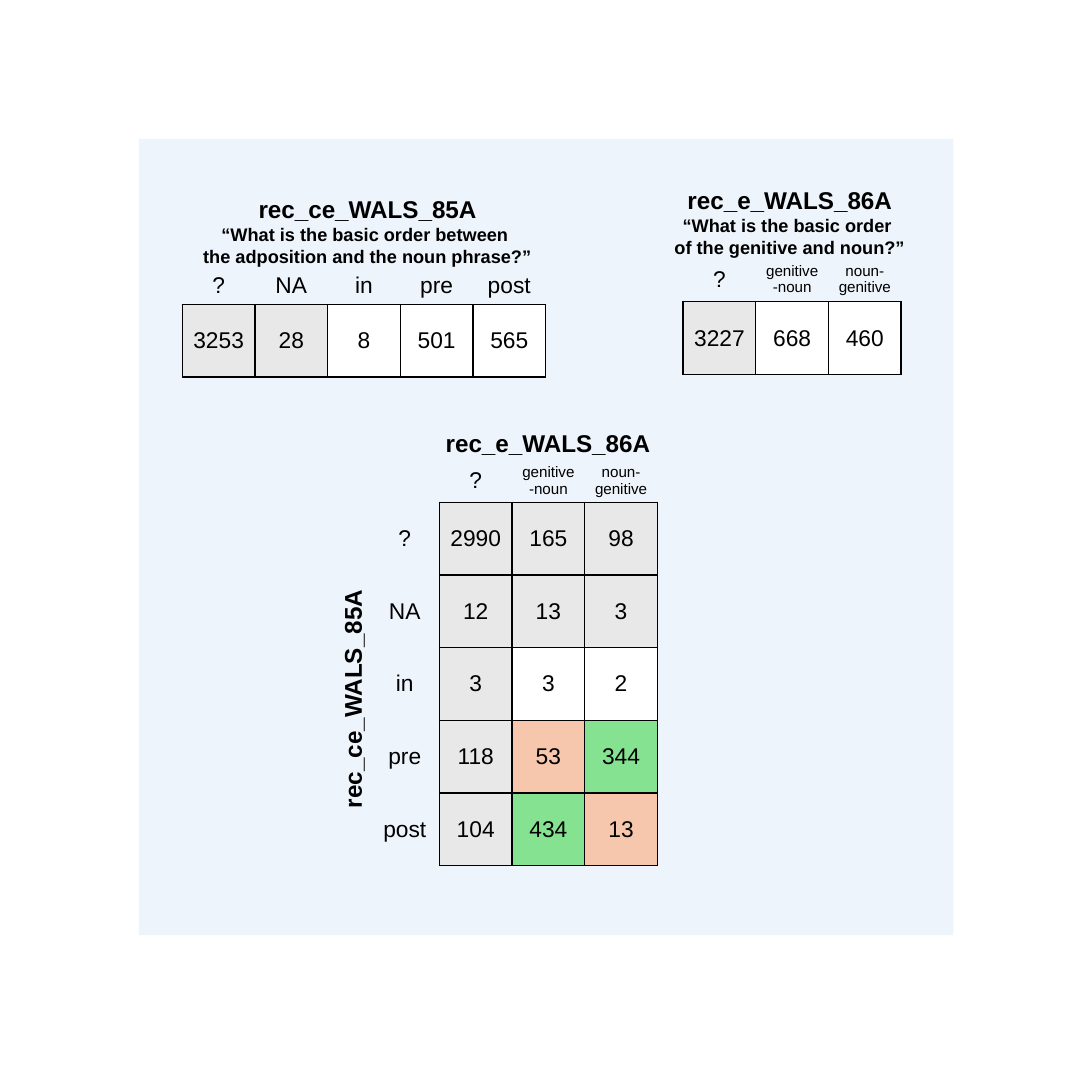
"""Build a slide with counts of two WALS word-order features and their cross table."""
from lxml.etree import SubElement
from pptx import Presentation
from pptx.dml.color import RGBColor
from pptx.enum.shapes import MSO_SHAPE
from pptx.enum.text import MSO_ANCHOR, MSO_AUTO_SIZE, PP_ALIGN
from pptx.oxml.ns import qn
from pptx.util import Cm, Pt

FONT = "Arial"
BLACK = RGBColor(0x00, 0x00, 0x00)
WHITE = RGBColor(0xFF, 0xFF, 0xFF)
GREY = RGBColor(0xE8, 0xE8, 0xE8)
GREEN = RGBColor(0x84, 0xE2, 0x91)
ORANGE = RGBColor(0xF6, 0xC6, 0xAD)
PALE_BLUE = RGBColor(0xDC, 0xEA, 0xF7)

NO_STYLE = "{2D5ABB26-0587-4C30-8999-92F81FD0307C}"
CELL = Cm(1.69)
LABEL_WIDTH = Cm(1.61)
HEADER_HEIGHT = Cm(0.86)

ADPOSITION = "rec_ce_WALS_85A"
GENITIVE = "rec_e_WALS_86A"
ADPOSITION_ORDERS = ["?", "NA", "in", "pre", "post"]
ADPOSITION_COUNTS = [3253, 28, 8, 501, 565]
GENITIVE_ORDERS = ["?", "genitive-noun", "noun-genitive"]
GENITIVE_COUNTS = [3227, 668, 460]
PAIR_COUNTS = [[2990, 165, 98], [12, 13, 3], [3, 3, 2], [118, 53, 344], [104, 434, 13]]
UNKNOWN = {"?", "NA"}
PAIR_COLORS = {
    ("pre", "genitive-noun"): ORANGE,
    ("pre", "noun-genitive"): GREEN,
    ("post", "genitive-noun"): GREEN,
    ("post", "noun-genitive"): ORANGE,
}


def format_paragraph(paragraph, size, bold=False, alignment=PP_ALIGN.CENTER):
    paragraph.alignment = alignment
    paragraph.font.name = FONT
    paragraph.font.size = Pt(size)
    paragraph.font.bold = bold
    paragraph.font.color.rgb = BLACK


def add_background(slide):
    panel = slide.shapes.add_shape(
        MSO_SHAPE.RECTANGLE, Cm(3.23), Cm(3.23), Cm(18.95), Cm(18.52))
    panel.shadow.inherit = False
    panel.line.fill.background()
    panel.fill.solid()
    panel.fill.fore_color.rgb = PALE_BLUE
    color = panel.fill._xPr.find(qn("a:solidFill"))[0]
    SubElement(color, qn("a:alpha"), val="48000")


def add_title(slide, left, top, width, height, text, rotation=0):
    title = slide.shapes.add_textbox(left, top, width, height)
    title.rotation = rotation
    frame = title.text_frame
    frame.word_wrap = False
    frame.auto_size = MSO_AUTO_SIZE.SHAPE_TO_FIT_TEXT
    frame.text = text
    alignment = PP_ALIGN.LEFT if rotation else PP_ALIGN.CENTER
    for index, paragraph in enumerate(frame.paragraphs):
        format_paragraph(paragraph, 12 if index else 16, True, alignment)
    for question in frame.paragraphs[0].runs[1:]:
        question.font.size = Pt(12)


def fill_cell(cell, text, edges, color=None):
    cell.text = str(text)
    cell.vertical_anchor = MSO_ANCHOR.MIDDLE
    cell.margin_left = cell.margin_right = Cm(0.2)
    cell.margin_top = cell.margin_bottom = Cm(0.1)
    format_paragraph(cell.text_frame.paragraphs[0], 10 if text in GENITIVE_ORDERS[1:] else 15)
    properties = cell._tc.get_or_add_tcPr()
    for edge in edges:
        line = SubElement(properties, qn(f"a:ln{edge}"), w=str(Pt(1)))
        SubElement(SubElement(line, qn("a:solidFill")), qn("a:srgbClr"), val=str(BLACK))
    if color is None:
        cell.fill.background()
    else:
        cell.fill.solid()
        cell.fill.fore_color.rgb = color


def count_color(row_order, column_order):
    if UNKNOWN & {row_order, column_order}:
        return GREY
    return PAIR_COLORS.get((row_order, column_order), WHITE)


def add_counts(slide, left, top, height, orders, counts, row_orders=()):
    labels = 1 if row_orders else 0
    widths = [LABEL_WIDTH] * labels + [CELL] * len(orders)
    heights = [HEADER_HEIGHT] + [CELL] * len(counts)
    frame = slide.shapes.add_table(
        len(heights), len(widths), left, top, sum(widths), height)
    table = frame.table
    table.first_row = table.horz_banding = False
    table._tbl.tblPr.find(qn("a:tableStyleId")).text = NO_STYLE
    for column, width in zip(table.columns, widths):
        column.width = width
    for row, row_height in zip(table.rows, heights):
        row.height = row_height
    frame.height = height

    if labels:
        fill_cell(table.cell(0, 0), "", "")
    for c, order in enumerate(orders, labels):
        fill_cell(table.cell(0, c), order, "B")
    for r, row_order in enumerate(row_orders, 1):
        fill_cell(table.cell(r, 0), row_order, "R")
    for r, row_counts in enumerate(counts, 1):
        row_order = row_orders[r - 1] if labels else None
        for c, (order, count) in enumerate(zip(orders, row_counts), labels):
            fill_cell(table.cell(r, c), count, "LRTB", count_color(row_order, order))


def main():
    presentation = Presentation()
    presentation.slide_width = Cm(25.4)
    presentation.slide_height = Cm(25)
    slide = presentation.slides.add_slide(presentation.slide_layouts[6])
    add_background(slide)

    add_counts(slide, Cm(8.61), Cm(10.69), Cm(9.5), GENITIVE_ORDERS, PAIR_COUNTS,
               ADPOSITION_ORDERS)
    add_title(slide, Cm(10.09), Cm(9.83), Cm(5.31), Cm(0.94), GENITIVE)
    add_title(slide, Cm(5.38), Cm(15.75), Cm(5.64), Cm(0.94), ADPOSITION, rotation=270)

    add_title(slide, Cm(4.42), Cm(4.39), Cm(8.26), Cm(1.96),
              f"{ADPOSITION}\n“What is the basic order between \n"
              "the adposition and the noun phrase?”")
    for start, end in [(0, 3), (3, 4), (4, 5)]:
        add_counts(slide, Cm(4.24) + start * CELL, Cm(6.22), Cm(2.57),
                   ADPOSITION_ORDERS[start:end], [ADPOSITION_COUNTS[start:end]])

    add_title(slide, Cm(15.4), Cm(4.19), Cm(5.94), Cm(1.96),
              f"{GENITIVE}\v“What is the basic order \nof the genitive and noun?”")
    add_counts(slide, Cm(15.89), Cm(5.97), Cm(2.74), GENITIVE_ORDERS, [GENITIVE_COUNTS])

    presentation.save("out.pptx")


if __name__ == "__main__":
    main()
